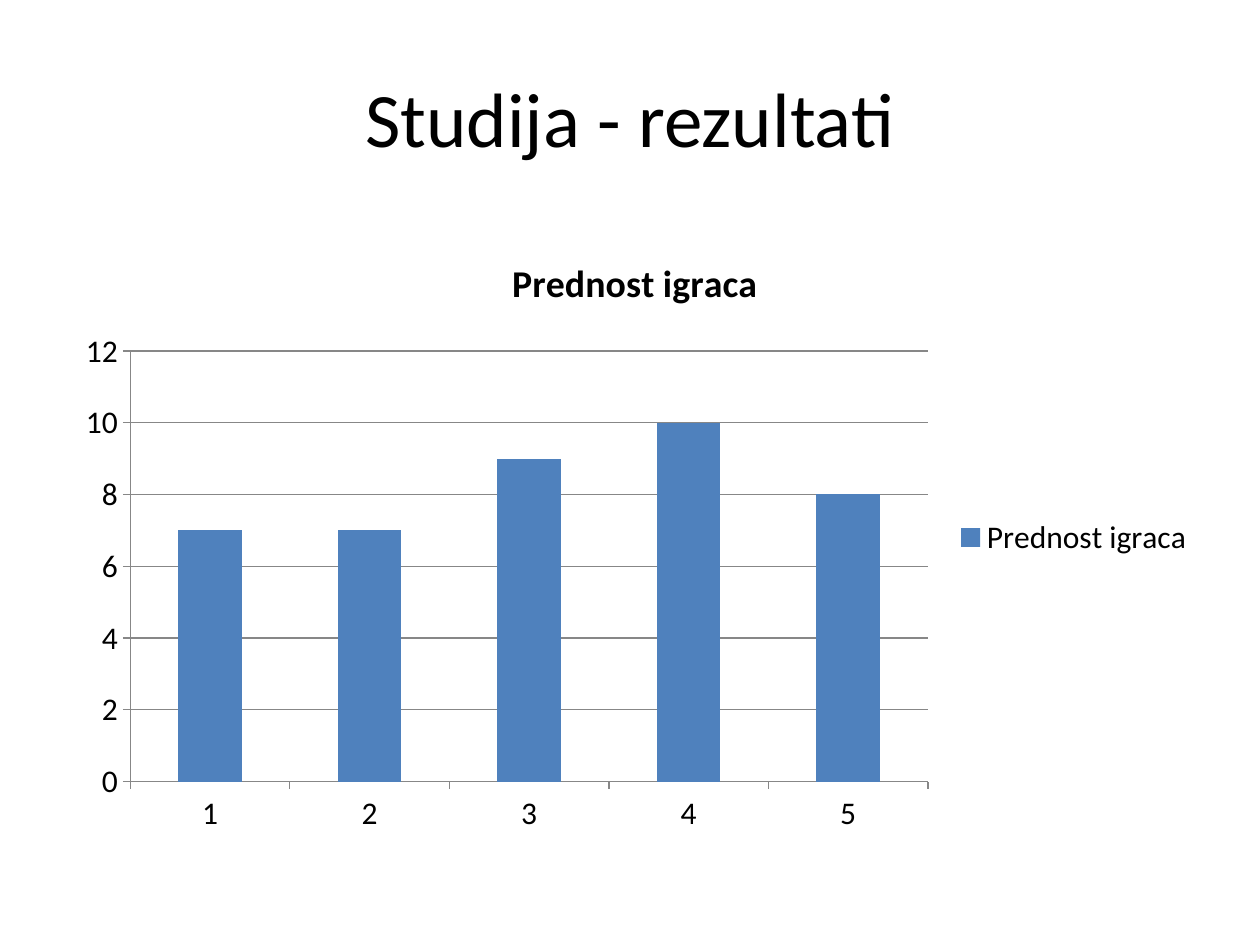
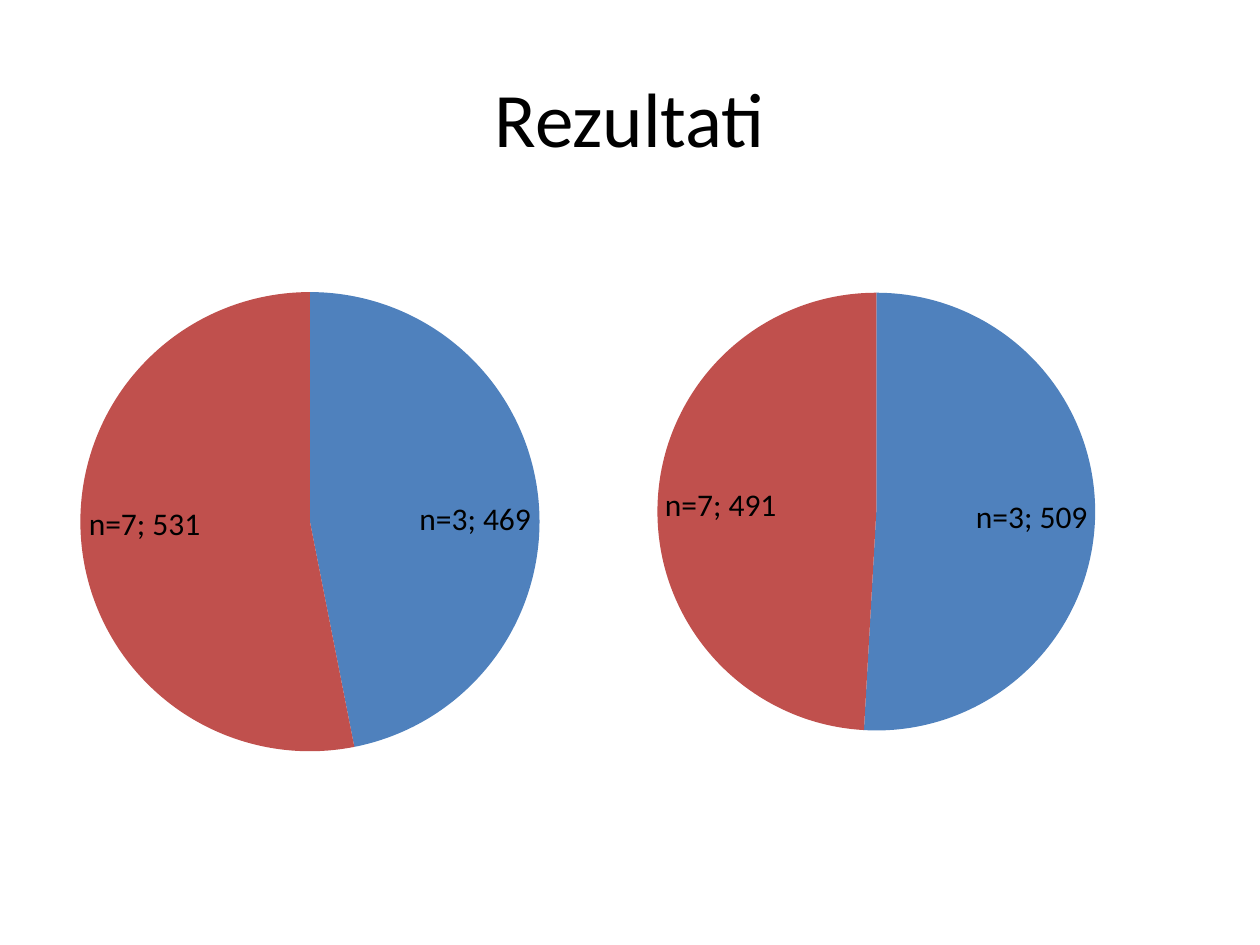
from pptx import Presentation
from pptx import util as u
from pptx.chart.data import CategoryChartData
from pptx.dml.color import RGBColor
from pptx.enum import chart as ch, text

Pt = u.Pt

# Content: boxes are left, top, width, height in points
PIE_CATS = ["n=3", "n=7"]
SLIDES = [
    {"title": "Studija - rezultati", "charts": [
        {"kind": "column", "box": (36, 131.75, 653.75, 350.75), "name": "Prednost igraca",
         "cats": ["1", "2", "3", "4", "5"], "values": [7, 7, 9, 10, 8]}]},
    {"title": "Rezultati", "charts": [
        {"kind": "pie", "box": (36, 113.75, 282.25, 368.75), "name": "Series 1",
         "cats": PIE_CATS, "values": [469, 531]},
        {"kind": "pie", "box": (365.75, 102.25, 270, 380.25), "name": "Series 1",
         "cats": PIE_CATS, "values": [509, 491]}]},
]

THEME = {
    "font": "Calibri", "title": 44, "chart_title": 21.6, "body": 18,
    "text": RGBColor(0, 0, 0), "paper": RGBColor(255, 255, 255),
    "line": RGBColor(0x87, 0x87, 0x87),
    "series": [RGBColor(0x4F, 0x81, 0xBD), RGBColor(0xC0, 0x50, 0x4D)],
}
TITLE_BOX = (36, 21.6, 648, 90)


def assign(obj, **values):
    for key, value in values.items():
        setattr(obj, key, value)


def style_font(font, size, bold=False):
    assign(font, name=THEME["font"], size=Pt(THEME[size]), bold=bold)
    font.color.rgb = THEME["text"]


def paint(fmt, color):
    fmt.fill.solid()
    fmt.fill.fore_color.rgb = color


def add_title(s, words):
    tf = s.shapes.add_textbox(*map(Pt, TITLE_BOX)).text_frame
    assign(tf, word_wrap=True, vertical_anchor=text.MSO_ANCHOR.MIDDLE)
    p = tf.paragraphs[0]
    p.alignment = text.PP_ALIGN.CENTER
    r = p.add_run()
    r.text = words
    style_font(r.font, "title")


def style_column(chart, name):
    # Chart title and legend
    p = chart.chart_title.text_frame.paragraphs[0]
    r = p.add_run()
    r.text = name
    style_font(r.font, "chart_title", bold=True)
    chart.chart_title.include_in_layout = False
    chart.has_legend = True
    assign(chart.legend, position=ch.XL_LEGEND_POSITION.RIGHT, include_in_layout=False)

    # Axes, gridlines and bars
    for axis in (chart.category_axis, chart.value_axis):
        assign(axis, major_tick_mark=ch.XL_TICK_MARK.OUTSIDE,
               minor_tick_mark=ch.XL_TICK_MARK.NONE)
        axis.format.line.color.rgb = THEME["line"]
    assign(chart.value_axis, minimum_scale=0, maximum_scale=12, major_unit=2,
           has_major_gridlines=True)
    chart.value_axis.major_gridlines.format.line.color.rgb = THEME["line"]
    plot = chart.plots[0]
    assign(plot, gap_width=150, vary_by_categories=False)
    paint(plot.series[0].format, THEME["series"][0])


def style_pie(chart, name):
    assign(chart, has_title=False, has_legend=False)
    plot = chart.plots[0]
    assign(plot, vary_by_categories=True, has_data_labels=True)
    for i, color in enumerate(THEME["series"]):
        paint(plot.series[0].points[i].format, color)
    labels = plot.data_labels
    assign(labels, show_category_name=True, show_value=True, show_percentage=False,
           position=ch.XL_LABEL_POSITION.INSIDE_END)
    style_font(labels.font, "body")


KINDS = {"column": (ch.XL_CHART_TYPE.COLUMN_CLUSTERED, style_column),
         "pie": (ch.XL_CHART_TYPE.PIE, style_pie)}


def add_chart(s, item):
    kind, style = KINDS[item["kind"]]
    data = CategoryChartData()
    data.categories = item["cats"]
    data.add_series(item["name"], item["values"])
    chart = s.shapes.add_chart(kind, *map(Pt, item["box"]), data).chart
    style_font(chart.font, "body")
    style(chart, item["name"])


# Build the slides
prs = Presentation()
assign(prs, slide_width=Pt(720), slide_height=Pt(540))
for content in SLIDES:
    s = prs.slides.add_slide(prs.slide_layouts[6])
    paint(s.background, THEME["paper"])
    add_title(s, content["title"])
    for item in content["charts"]:
        add_chart(s, item)
prs.save("out.pptx")
